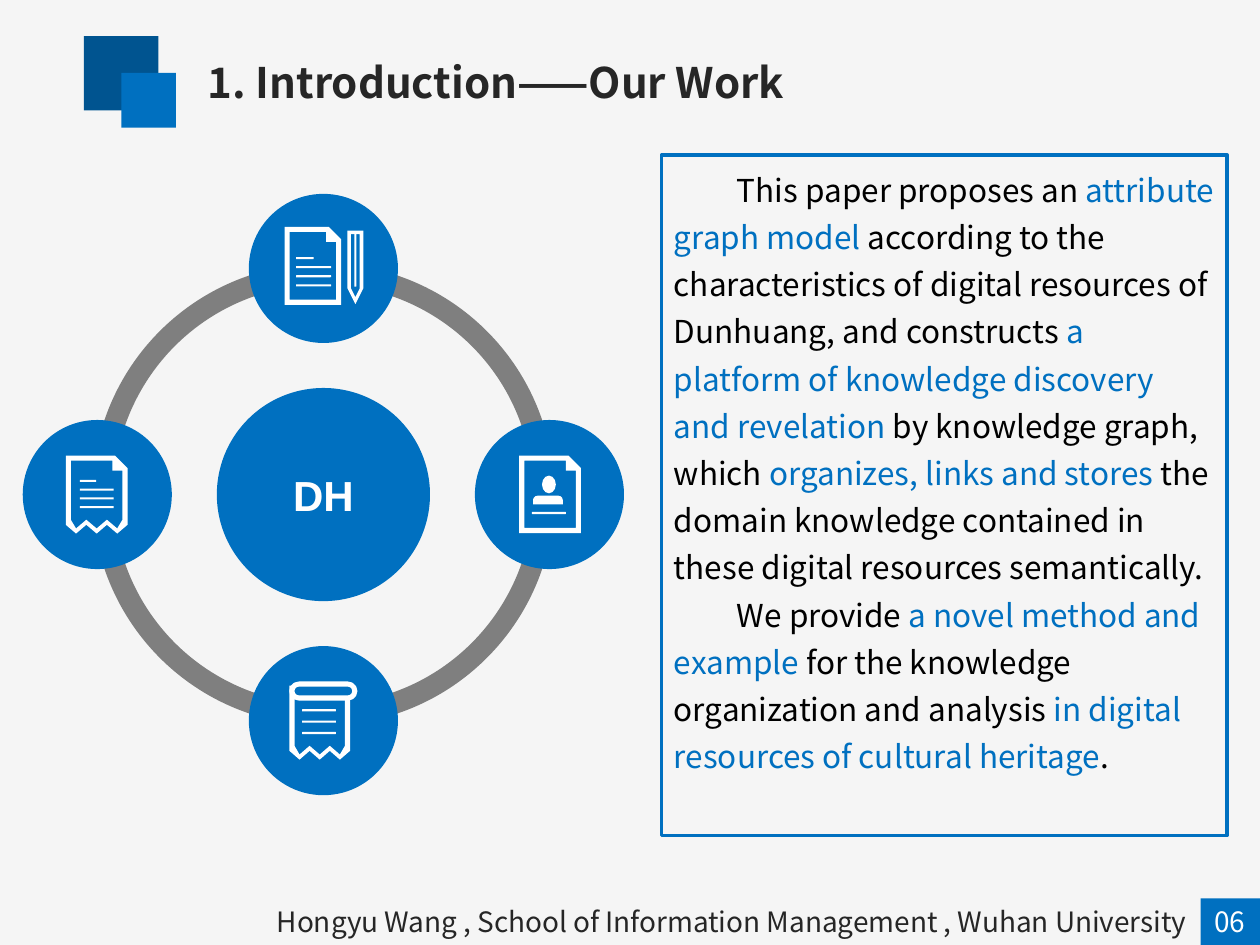
from lxml.etree import SubElement
from pptx import Presentation
from pptx.dml.color import RGBColor
from pptx.enum.shapes import MSO_SHAPE as SHAPE
from pptx.enum.text import MSO_ANCHOR as ANCHOR, PP_ALIGN as ALIGN
from pptx.oxml.ns import qn
from pptx.util import Pt

COLORS = {"bg": "F5F5F5", "navy": "005490", "blue": "0070C0", "ring": "7F7F7F",
          "white": "FFFFFF", "dark": "262626", "black": "000000"}
SANS = "Noto Sans CJK SC"

# Content: runs are (text, color)
TITLE = "1. Introduction——Our Work"
FOOTER = "Hongyu Wang , School of Information Management , Wuhan University"
PAGE = "06"
HUB = "DH"
BODY = [
    [("This paper proposes an ", "black"),
     ("attribute graph model", "blue"),
     (" according to the characteristics of digital resources of Dunhuang, "
      "and constructs ", "black"),
     ("a platform of knowledge discovery and revelation", "blue"),
     (" by knowledge graph, which ", "black"),
     ("organizes, links and stores", "blue"),
     (" the domain knowledge contained in these digital resources "
      "semantically.", "black")],
    [("We provide ", "black"),
     ("a novel method and example", "blue"),
     (" for the knowledge organization and analysis ", "black"),
     ("in digital resources of cultural heritage", "blue"),
     (".", "black")],
]

# Wheel geometry
CX, CY = 184.8, 282.6
RING_D, HUB_D, NODE_D, ORBIT = 264.2, 121.8, 85.2, 129.2
RING_WIDTH = 0.046
QUARTER = 54  # 90 degrees in adjustment units

# Icon strokes, in points
WALL, FOLD, TOOTH, ROW_H = 2.9, 7.2, 5, 1.2

prs = Presentation()
prs.slide_width, prs.slide_height = Pt(720), Pt(540)
s = prs.slides.add_slide(prs.slide_layouts[6])
s.background.fill.solid()
s.background.fill.fore_color.rgb = RGBColor.from_string(COLORS["bg"])


def paint(sp, color):
    sp.shadow.inherit = False
    sp.fill.solid()
    sp.fill.fore_color.rgb = RGBColor.from_string(COLORS[color])
    sp.line.fill.background()
    return sp


def shape(kind, x, y, w, h, color):
    return paint(s.shapes.add_shape(kind, Pt(x), Pt(y), Pt(w), Pt(h)), color)


def frame(sp, color, width):
    sp.fill.background()
    sp.line.color.rgb = RGBColor.from_string(COLORS[color])
    sp.line.width = Pt(width)


def disc(x, y, d, color):
    return shape(SHAPE.OVAL, x - d / 2, y - d / 2, d, d, color)


def style(p, size, color, font=SANS, bold=False, align=ALIGN.LEFT):
    p.alignment = align
    f = p.font
    f.size, f.bold, f.name = Pt(size), bold, font
    if color:
        f.color.rgb = RGBColor.from_string(COLORS[color])
    SubElement(p._p.pPr.find(qn("a:defRPr")), qn("a:ea"), typeface=font)


def textbox(x, y, w, h, text, size, color, **kw):
    tf = s.shapes.add_textbox(Pt(x), Pt(y), Pt(w), Pt(h)).text_frame
    tf.word_wrap = True
    p = tf.paragraphs[0]
    p.add_run().text = text
    style(p, size, color, **kw)


def outline(outer, hole):
    """Fill the band between two contours."""
    edge, cut = ([(Pt(x), Pt(y)) for x, y in c] for c in (outer, hole))
    fb = s.shapes.build_freeform(*edge[0])
    fb.add_line_segments(edge[1:])
    fb.move_to(*cut[0])
    fb.add_line_segments(cut[1:])
    paint(fb.convert_to_shape(), "white")


def page(x, y, w, h, fold=FOLD, teeth=0):
    """Sheet with an optional folded corner and torn lower edge."""
    def bottom(inset):
        if not teeth:
            return [(x + w - inset, y + h - inset), (x + inset, y + h - inset)]
        n = 2 * teeth
        xs = [x + w - w * k / n for k in range(n + 1)]
        return [(min(max(v, x + inset), x + w - inset),
                 y + h - inset - TOOTH * (k % 2 == 0)) for k, v in enumerate(xs)]

    left, top, right = x + WALL, y + WALL, x + w - WALL
    notch = fold + WALL / 2 if fold else WALL
    outline([(x, y), (x + w - fold, y), (x + w, y + fold)] + bottom(0),
            [(left, top), (x + w - notch, top), (x + w - notch, y + notch),
             (right, y + notch)] + bottom(WALL))


def rows(x, y, widths, step):
    for i, w in enumerate(widths):
        shape(SHAPE.ROUNDED_RECTANGLE, x, y + i * step, w, ROW_H, "white")


def pencil(x, y, w, h):
    def body(inset, tip):
        return [(x + inset, y + inset), (x + w - inset, y + inset),
                (x + w - inset, y + h - 9), (x + w / 2, y + h - tip),
                (x + inset, y + h - 9)]
    outline(body(0, 0), body(2, 4))
    shape(SHAPE.ROUNDED_RECTANGLE, x + w / 2 - 0.6, y + 2, 1.2, h - 12, "white")


# Icons, placed from the centre of their node
def draft(x, y):
    page(x - 22.2, y - 23.8, 32.4, 44.6)
    rows(x - 15.6, y - 6.5, [10, 20, 20, 20], 5.2)
    pencil(x + 13.8, y - 21.6, 9, 42)


def profile(x, y):
    page(x - 17.3, y - 22.3, 35.3, 44.3)
    rows(x - 10, y + 10, [19.4], 0)
    shape(SHAPE.OVAL, x - 4.3, y - 10.8, 7.9, 10.1, "white")
    sp = shape(SHAPE.ROUND_2_SAME_RECTANGLE, x - 9.4, y + 0.7, 17, 5, "white")
    sp.adjustments[0] = 0.5


def scroll(x, y):
    page(x - 19.4, y - 20, 34.6, 42.3, fold=0, teeth=3)
    roll = shape(SHAPE.ROUNDED_RECTANGLE, x - 18, y - 20.9, 36, 8, "blue")
    roll.adjustments[0] = 0.5
    roll.line.color.rgb = RGBColor.from_string(COLORS["white"])
    roll.line.width = Pt(WALL)
    rows(x - 12.2, y - 6.5, [19.4] * 3, 6.5)


def torn(x, y):
    page(x - 18, y - 22.3, 35.3, 44.6, teeth=3)
    rows(x - 10, y - 8.4, [9.4, 19.4, 19.4, 19.4], 5)


ICONS = [(draft, 0, -1), (profile, 1, 0), (scroll, 0, 1), (torn, -1, 0)]

# Title
shape(SHAPE.RECTANGLE, 48, 20.6, 42.5, 42.5, "navy")
shape(SHAPE.RECTANGLE, 69.3, 41.7, 31.2, 31.2, "blue")
textbox(111.6, 28.8, 560, 36, TITLE, 24, "dark", bold=True)

# Footer
shape(SHAPE.RECTANGLE, 686, 513.4, 34, 26.6, "blue")
textbox(677.6, 513.4, 50.4, 26.6, PAGE, 16, "white", align=ALIGN.CENTER)
textbox(95.8, 513.4, 589.7, 26.6, FOOTER, 16, "dark", align=ALIGN.RIGHT)

# Hub
sp = disc(CX, CY, HUB_D, "blue")
sp.text_frame.vertical_anchor = ANCHOR.MIDDLE
p = sp.text_frame.paragraphs[0]
p.add_run().text = HUB
style(p, 24, "white", font="Arial", bold=True, align=ALIGN.CENTER)

# Ring of four quarter arcs
for i in range(4):
    sp = shape(SHAPE.BLOCK_ARC, CX - RING_D / 2, CY - RING_D / 2, RING_D, RING_D, "ring")
    arc = [i * QUARTER, (i + 1) % 4 * QUARTER, RING_WIDTH]
    for k, value in enumerate(arc):
        sp.adjustments[k] = value

# Nodes with icons
for icon, dx, dy in ICONS:
    x, y = CX + dx * ORBIT, CY + dy * ORBIT
    disc(x, y, NODE_D, "blue")
    icon(x, y)

# Body text in a frame
sp = shape(SHAPE.RECTANGLE, 378, 88.6, 323.3, 388.8, "bg")
frame(sp, "blue", 2)
tf = sp.text_frame
tf.word_wrap, tf.vertical_anchor = True, ANCHOR.TOP
for i, runs in enumerate(BODY):
    p = tf.paragraphs[0] if i == 0 else tf.add_paragraph()
    p.line_spacing = 1.25
    style(p, 18, None)
    p._p.pPr.set("indent", str(Pt(36)))
    for text, color in runs:
        r = p.add_run()
        r.text = text
        r.font.color.rgb = RGBColor.from_string(COLORS[color])

prs.save("out.pptx")
